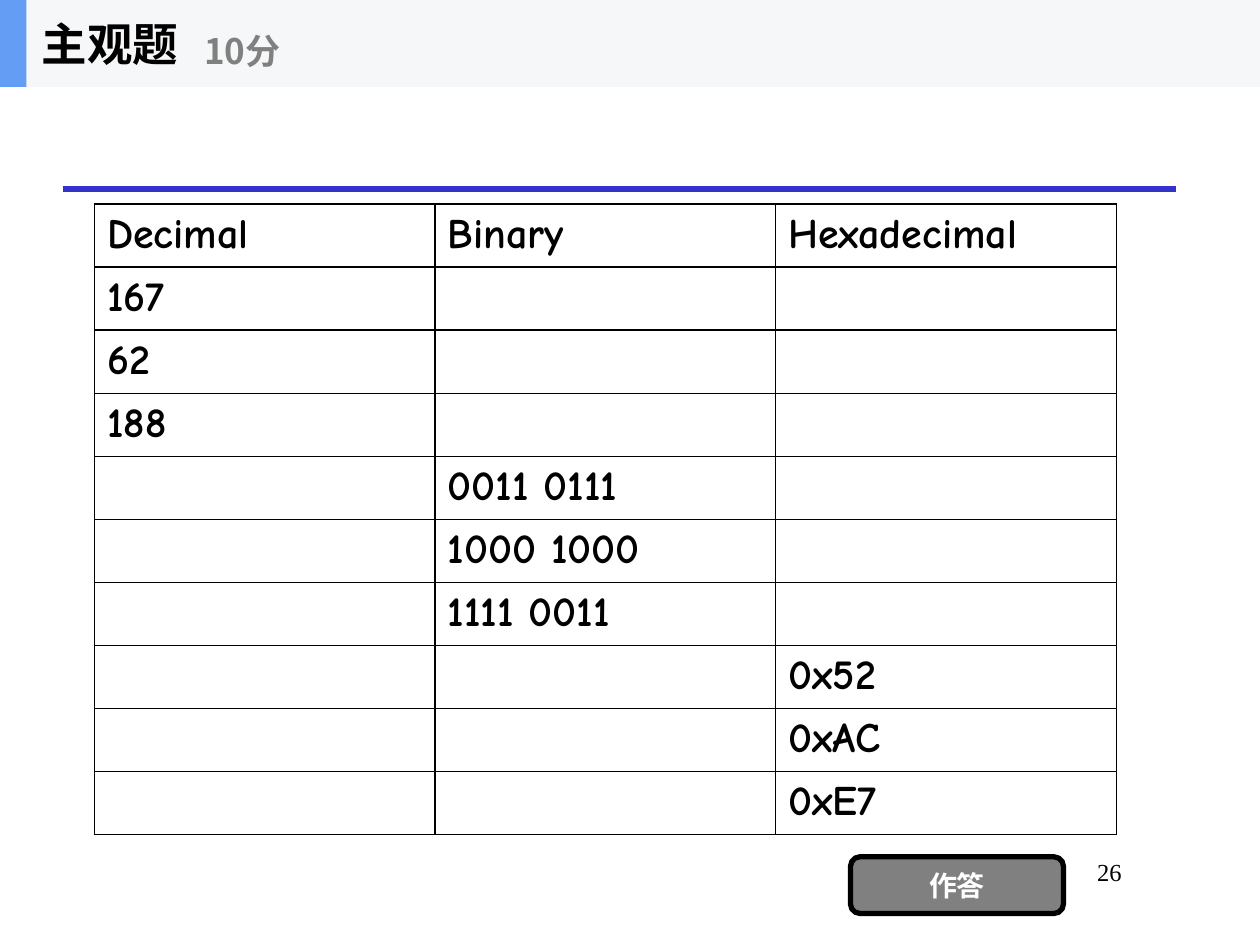
from dataclasses import dataclass

from lxml import etree
from pptx import Presentation
from pptx.dml.color import RGBColor
from pptx.enum.shapes import MSO_CONNECTOR, MSO_SHAPE
from pptx.enum.text import MSO_ANCHOR, PP_ALIGN
from pptx.oxml.ns import qn
from pptx.util import Inches, Pt

BLACK = RGBColor(0x00, 0x00, 0x00)
WHITE = RGBColor(0xFF, 0xFF, 0xFF)
GRAY = RGBColor(0x80, 0x80, 0x80)
BAND = RGBColor(0xF6, 0xF7, 0xF8)
ACCENT = RGBColor(0x63, 0x9E, 0xF4)
RULE = RGBColor(0x33, 0x33, 0xCC)
LEFT, CENTER, RIGHT = PP_ALIGN.LEFT, PP_ALIGN.CENTER, PP_ALIGN.RIGHT
TOP, MIDDLE = MSO_ANCHOR.TOP, MSO_ANCHOR.MIDDLE
RECTANGLE, ROUNDED = MSO_SHAPE.RECTANGLE, MSO_SHAPE.ROUNDED_RECTANGLE
CJK_FONT = "Noto Sans CJK SC"
TABLE_FONT = "Comic Neue"
NUMBER_FONT = "Times New Roman"

ROWS = [
    ("Decimal", "Binary", "Hexadecimal"),
    ("167", "", ""),
    ("62", "", ""),
    ("188", "", ""),
    ("", "0011 0111", ""),
    ("", "1000 1000", ""),
    ("", "1111 0011", ""),
    ("", "", "0x52"),
    ("", "", "0xAC"),
    ("", "", "0xE7"),
]


@dataclass(frozen=True)
class Area:
    left: float
    top: float
    width: float
    height: float

    def lengths(self) -> list:
        return [Inches(v) for v in (self.left, self.top, self.width, self.height)]


@dataclass(frozen=True)
class Style:
    font: str
    size: int
    color: RGBColor
    bold: bool = True
    align: PP_ALIGN = LEFT
    anchor: MSO_ANCHOR = MIDDLE


def write(frame, text: str, style: Style) -> None:
    frame.text = text
    frame.vertical_anchor = style.anchor
    para = frame.paragraphs[0]
    para.alignment = style.align
    for span in para.runs:
        span.font.name = style.font
        span.font.size = Pt(style.size)
        span.font.bold = style.bold
        span.font.color.rgb = style.color
        if style.font == CJK_FONT:
            east_asian = etree.SubElement(span.font._element, qn("a:ea"))
            east_asian.set("typeface", style.font)


def set_margins(frame, margin: float) -> None:
    frame.margin_left = frame.margin_right = Inches(margin)
    frame.margin_top = frame.margin_bottom = Inches(margin)


def add_block(page, kind, area: Area, fill: RGBColor):
    block = page.shapes.add_shape(kind, *area.lengths())
    block.shadow.inherit = False
    block.fill.solid()
    block.fill.fore_color.rgb = fill
    block.line.fill.background()
    return block


def add_text(page, area: Area, text: str, style: Style):
    box = page.shapes.add_textbox(*area.lengths())
    box.text_frame.word_wrap = True
    write(box.text_frame, text, style)
    return box


def add_rule(page) -> None:
    rule = page.shapes.add_connector(
        MSO_CONNECTOR.STRAIGHT, Inches(0.5), Inches(1.5), Inches(9.33), Inches(1.5)
    )
    rule.line.color.rgb = RULE
    rule.line.width = Pt(3)
    etree.SubElement(rule._element.spPr, qn("a:effectLst"))


def border_cell(cell) -> None:
    properties = cell._tc.get_or_add_tcPr()
    for position, side in enumerate(("a:lnL", "a:lnR", "a:lnT", "a:lnB")):
        edge = etree.Element(qn(side), w=str(Pt(1)))
        fill = etree.SubElement(edge, qn("a:solidFill"))
        etree.SubElement(fill, qn("a:srgbClr"), val=str(BLACK))
        properties.insert(position, edge)


def add_number_table(page, area: Area) -> None:
    style = Style(TABLE_FONT, 24, BLACK, anchor=TOP)
    table = page.shapes.add_table(len(ROWS), len(ROWS[0]), *area.lengths()).table
    table.first_row = False
    table.horz_banding = False
    for row, values in zip(table.rows, ROWS):
        row.height = Inches(area.height / len(ROWS))
        for cell, value in zip(row.cells, values):
            cell.fill.background()
            border_cell(cell)
            write(cell.text_frame, value, style)


def add_header(page) -> None:
    add_block(page, RECTANGLE, Area(0, 0, 10, 0.69), BAND)
    add_block(page, RECTANGLE, Area(0, 0, 0.21, 0.69), ACCENT)
    title = page.shapes.title
    title.left, title.top, title.width, title.height = Area(0.28, 0, 2.08, 0.69).lengths()
    page.shapes._spTree.append(title._element)
    write(title.text_frame, "主观题", Style(CJK_FONT, 26, BLACK))
    set_margins(title.text_frame, 0.05)
    score = add_text(page, Area(1.57, 0.12, 2.5, 0.56), "10分", Style(CJK_FONT, 20, GRAY))
    set_margins(score.text_frame, 0.05)


def add_answer_button(page) -> None:
    button = add_block(page, ROUNDED, Area(6.75, 6.8, 1.69, 0.45), GRAY)
    button.line.color.rgb = BLACK
    button.line.width = Pt(3)
    write(button.text_frame, "作答", Style(CJK_FONT, 16, WHITE, align=CENTER))


def main() -> None:
    deck = Presentation()
    deck.slide_width, deck.slide_height = Inches(10), Inches(7.5)
    page = deck.slides.add_slide(deck.slide_layouts[5])
    add_rule(page)
    number_style = Style(NUMBER_FONT, 14, BLACK, bold=False, align=RIGHT, anchor=TOP)
    add_text(page, Area(7.58, 6.75, 1.42, 0.5), "26", number_style)
    add_answer_button(page)
    add_number_table(page, Area(0.75, 1.62, 8.11, 5))
    add_header(page)
    deck.save("out.pptx")


if __name__ == "__main__":
    main()
